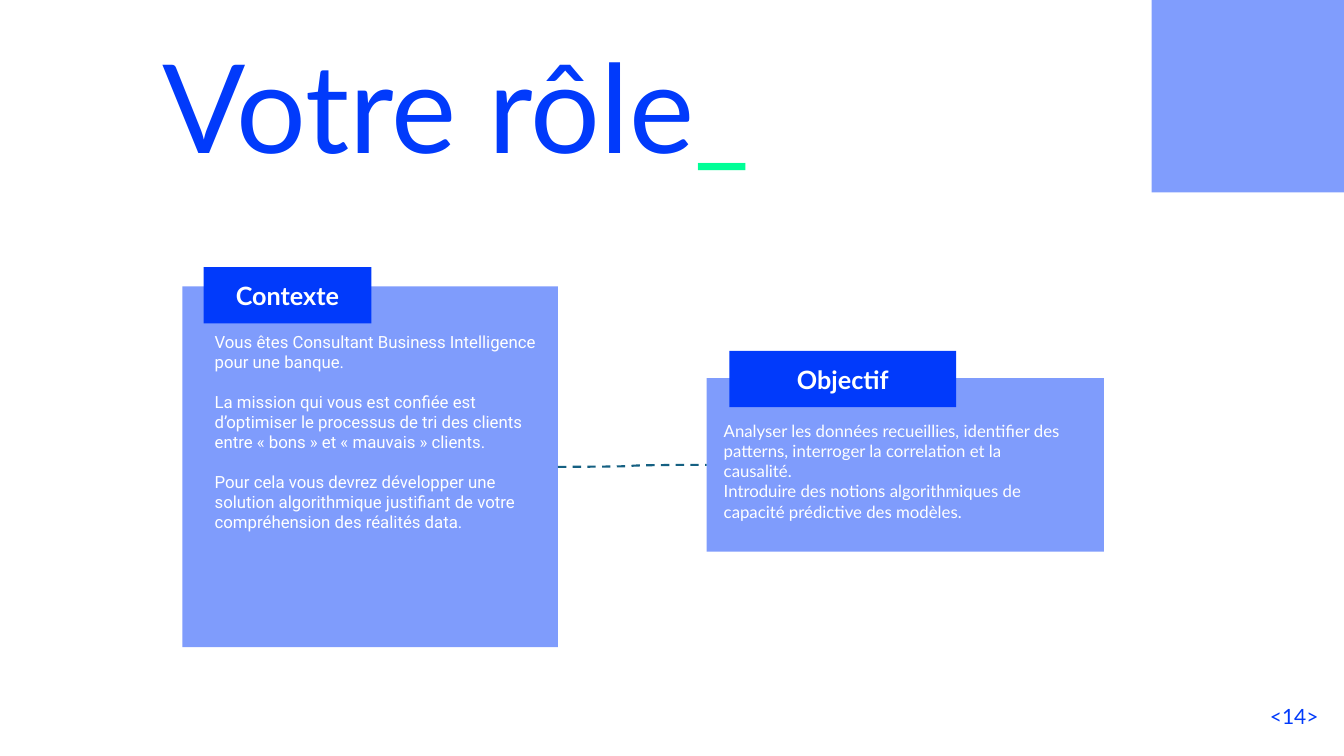
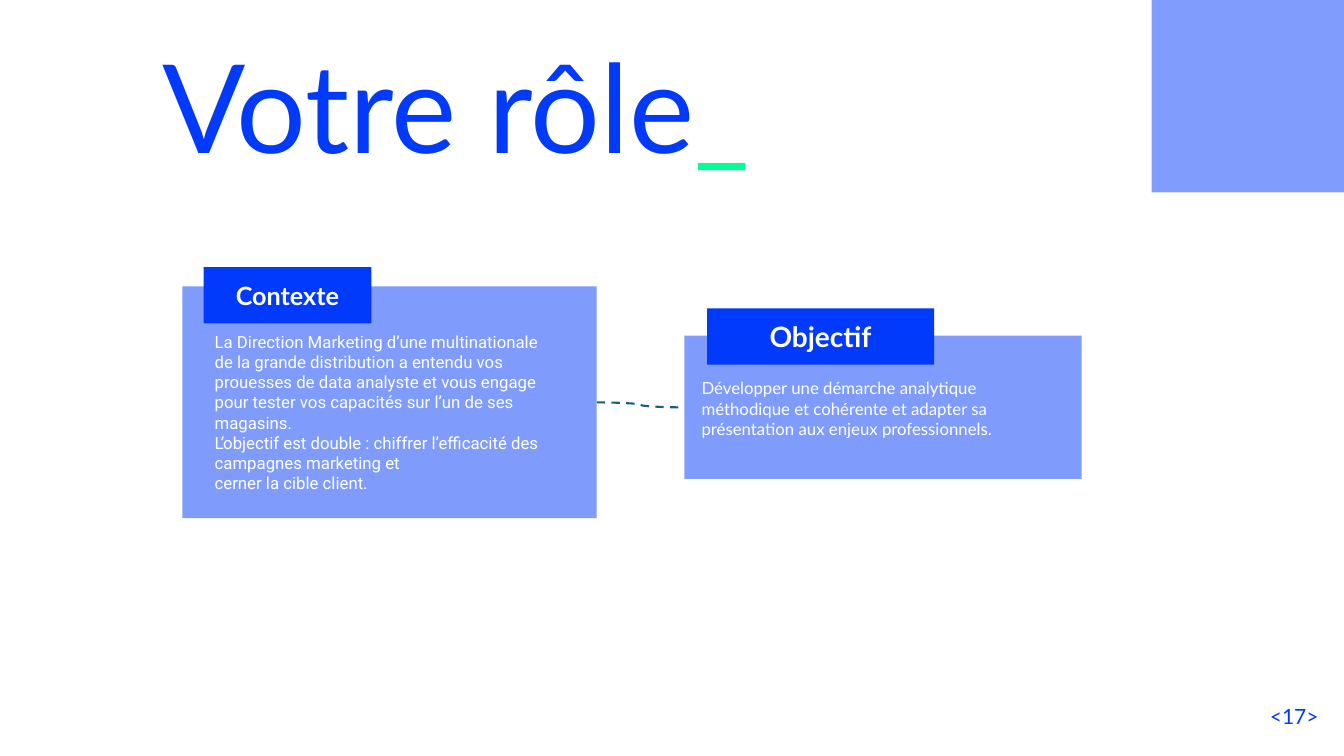
import pptx
import pptx.dml.color
import pptx.enum.dml
import pptx.enum.shapes
import pptx.enum.text
import pptx.oxml.ns
import pptx.util
from lxml import etree

Cm = pptx.util.Cm
Pt = pptx.util.Pt
RGBColor = pptx.dml.color.RGBColor
ALIGN = pptx.enum.text.PP_ALIGN
ANCHOR = pptx.enum.text.MSO_ANCHOR
SHAPE = pptx.enum.shapes.MSO_SHAPE

BLUE = RGBColor(0x01, 0x3A, 0xFB)
PALE_BLUE = RGBColor(0x80, 0x9D, 0xFD)
GREEN = RGBColor(0x00, 0xFF, 0x97)
TEAL = RGBColor(0x15, 0x60, 0x82)
WHITE = RGBColor(0xFF, 0xFF, 0xFF)

SLIDE_WIDTH, SLIDE_HEIGHT = 33.87, 19.05
CORNER = 4.85
TAB_HEIGHT = 1.42
RIGHT_SITE, LEFT_SITE = 3, 1

TITLE_FRAME = {"vertical_anchor": ANCHOR.MIDDLE, "word_wrap": True,
               "auto_size": pptx.enum.text.MSO_AUTO_SIZE.NONE}
TAB_FRAME = {"vertical_anchor": ANCHOR.MIDDLE, "word_wrap": True}
BODY_FRAME = {"vertical_anchor": ANCHOR.TOP, "word_wrap": True}

CONTEXT = {
    "heading": "Contexte",
    "tab": (0.53, -0.49, 4.23),
    "insets": {"margin_left": Cm(0.81), "margin_top": Cm(1.14)},
    "font": "Roboto",
}
GOAL = {
    "heading": "Objectif",
    "tab": (0.57, -0.69, 5.72),
    "insets": {"margin_left": Cm(0.43), "margin_top": Cm(1.07)},
    "font": "Lato",
}

ROLES = [
    {
        "number": "<14>",
        "context": {
            "box": (4.6, 7.22, 9.46, 9.09), "right_inset": 0.51,
            "heading_size": 18, "gap": 14,
            "paragraphs": [
                "Vous êtes Consultant Business Intelligence pour une banque.",
                "La mission qui vous est confiée est d’optimiser le processus "
                "de tri des clients entre « bons » et « mauvais » clients.",
                "Pour cela vous devrez développer une solution algorithmique "
                "justifiant de votre compréhension des réalités data.",
            ],
        },
        "goal": {
            "box": (17.81, 9.53, 10.01, 4.37), "right_inset": 0.94,
            "heading_size": 18, "gap": 0,
            "paragraphs": [
                "Analyser les données recueillies, identifier des patterns, "
                "interroger la correlation et la causalité.",
                "Introduire des notions algorithmiques de capacité prédictive "
                "des modèles.",
            ],
        },
    },
    {
        "number": "<17>",
        "context": {
            "box": (4.6, 7.22, 10.44, 5.84), "right_inset": 1.2,
            "heading_size": 18, "gap": 0,
            "paragraphs": [
                "La Direction Marketing d’une multinationale",
                "de la grande distribution a entendu vos prouesses de data "
                "analyste et vous engage pour tester vos capacités sur l’un "
                "de ses",
                "magasins.",
                "L’objectif est double : chiffrer l’efficacité des campagnes "
                "marketing et",
                "cerner la cible client.",
            ],
        },
        "goal": {
            "box": (17.25, 8.46, 10.01, 3.61), "right_inset": 0.43,
            "heading_size": 20, "gap": 0,
            "paragraphs": [
                "Développer une démarche analytique méthodique et cohérente "
                "et adapter sa présentation aux enjeux professionnels.",
            ],
        },
    },
]


def apply(target, values):
    for attribute, value in values.items():
        setattr(target, attribute, value)


def add_text(paragraph, text, size, color, font="Lato", bold=False):
    run = paragraph.add_run()
    run.text = text
    apply(run.font, {"name": font, "size": Pt(size), "bold": bold})
    run.font.color.rgb = color


def add_block(slide, box, color, opacity=None):
    block = slide.shapes.add_shape(SHAPE.RECTANGLE, *map(Cm, box))
    block.shadow.inherit = False
    block.line.fill.background()
    block.fill.solid()
    block.fill.fore_color.rgb = color
    if opacity is not None:
        fill_color = block.fill._xPr.find(".//" + pptx.oxml.ns.qn("a:srgbClr"))
        alpha = etree.SubElement(fill_color, pptx.oxml.ns.qn("a:alpha"))
        alpha.set("val", str(opacity * 1000))
    return block


def add_title(slide, box):
    left, top, width, height = map(Cm, box)
    title = slide.shapes.title
    apply(title, {"left": left, "top": top, "width": width, "height": height})
    apply(title.text_frame, TITLE_FRAME)
    heading = title.text_frame.paragraphs[0]
    apply(heading, {"alignment": ALIGN.LEFT, "line_spacing": 0.9})
    add_text(heading, "Votre rôle", 88, BLUE)
    add_text(heading, "_", 86, GREEN)


def add_page_number(slide, box, number):
    footer = slide.shapes.add_textbox(*map(Cm, box)).text_frame
    apply(footer, TAB_FRAME)
    footer.paragraphs[0].alignment = ALIGN.RIGHT
    add_text(footer.paragraphs[0], number, 15, BLUE)


def add_panel(slide, style, content):
    left, top, _, _ = content["box"]
    panel = add_block(slide, content["box"], BLUE, opacity=50)
    body = panel.text_frame
    apply(body, {**BODY_FRAME, **style["insets"],
                 "margin_right": Cm(content["right_inset"])})
    for index, text in enumerate(content["paragraphs"]):
        paragraph = body.add_paragraph() if index else body.paragraphs[0]
        apply(paragraph, {"alignment": ALIGN.LEFT,
                          "space_before": Pt(content["gap"] if index else 0)})
        add_text(paragraph, text, 12, WHITE, style["font"])

    shift_x, shift_y, tab_width = style["tab"]
    tab = add_block(slide, (left + shift_x, top + shift_y, tab_width, TAB_HEIGHT), BLUE)
    apply(tab.text_frame, TAB_FRAME)
    heading = tab.text_frame.paragraphs[0]
    heading.alignment = ALIGN.CENTER
    add_text(heading, style["heading"], content["heading_size"], WHITE, bold=True)
    return panel


def link_panels(slide, context, goal):
    link = slide.shapes.add_connector(
        pptx.enum.shapes.MSO_CONNECTOR.CURVE, 0, 0, 0, 0)
    link.begin_connect(context, RIGHT_SITE)
    link.end_connect(goal, LEFT_SITE)
    apply(link.line, {"width": Pt(1.5),
                      "dash_style": pptx.enum.dml.MSO_LINE.DASH})
    link.line.color.rgb = TEAL
    etree.SubElement(link._element.spPr, pptx.oxml.ns.qn("a:effectLst"))


def add_role_slide(deck, role):
    slide = deck.slides.add_slide(deck.slide_layouts.get_by_name("Title Only"))
    add_block(slide, (SLIDE_WIDTH - CORNER, 0, CORNER, CORNER), PALE_BLUE)
    add_page_number(slide, (25.86, 17.53, 7.62, 1.02), role["number"])
    add_title(slide, (3.84, 1.02, 24.97, 3.68))
    context = add_panel(slide, CONTEXT, role["context"])
    goal = add_panel(slide, GOAL, role["goal"])
    link_panels(slide, context, goal)


def main():
    deck = pptx.Presentation()
    apply(deck, {"slide_width": Cm(SLIDE_WIDTH), "slide_height": Cm(SLIDE_HEIGHT)})
    for role in ROLES:
        add_role_slide(deck, role)
    deck.save("out.pptx")


if __name__ == "__main__":
    main()
